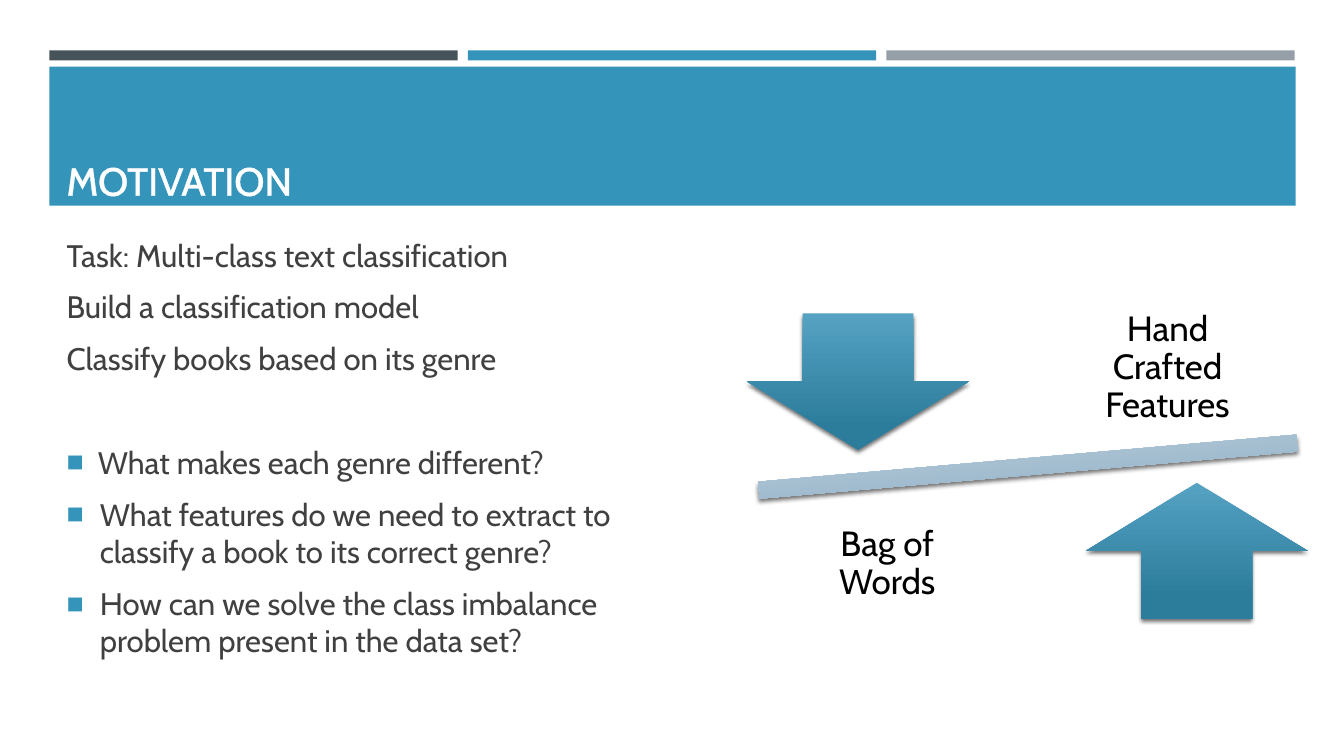
from dataclasses import dataclass

import pptx
import pptx.dml.color
import pptx.enum.shapes
import pptx.enum.text
import pptx.oxml
import pptx.oxml.ns
import pptx.util
from lxml import etree

RGBColor = pptx.dml.color.RGBColor
Shape = pptx.enum.shapes.MSO_SHAPE
Align = pptx.enum.text.PP_ALIGN
Anchor = pptx.enum.text.MSO_ANCHOR
Pt = pptx.util.Pt
qn = pptx.oxml.ns.qn

EMU_PER_PX = 9144  # 100 px to the inch
FONT = "Cabin"
WHITE = RGBColor(0xFF, 0xFF, 0xFF)
BLACK = RGBColor(0x00, 0x00, 0x00)
TEXT_GREY = RGBColor(0x40, 0x40, 0x40)
SLATE = RGBColor(0x46, 0x53, 0x59)
BLUE = RGBColor(0x34, 0x94, 0xBA)
SILVER = RGBColor(0x96, 0x9F, 0xA7)
ARROW_TOP = RGBColor(0x55, 0xA2, 0xC3)
ARROW_BOTTOM = RGBColor(0x2C, 0x7C, 0x9C)
BEAM_TOP = RGBColor(0xCB, 0xDC, 0xE7)
BEAM_BOTTOM = RGBColor(0x89, 0xAA, 0xC0)


@dataclass(frozen=True)
class Box:
    left: int
    top: int
    width: int
    height: int

    def emu(self) -> list[int]:
        return [px(v) for v in (self.left, self.top, self.width, self.height)]


@dataclass(frozen=True)
class BalancePart:
    preset: Shape
    box: Box
    top_color: RGBColor
    bottom_color: RGBColor
    rotation: int = 0


@dataclass(frozen=True)
class Label:
    text: str
    box: Box


@dataclass(frozen=True)
class Line:
    """A body paragraph; a hang above zero gives it a bullet."""
    text: str
    hang: int = 0
    before: float = 4.4


BAR_COLORS = [SLATE, BLUE, SILVER]
BAR_LEFT, BAR_WIDTH, BAR_PITCH = 49, 405, 415
BAND = Box(49, 66, 1236, 138)
TITLE = Box(56, 77, 390, 130)
BODY = Box(56, 228, 579, 432)

LINES = [
    Line("Task: Multi-class text classification"),
    Line("Build a classification model"),
    Line("Classify books based on its genre"),
    Line("What makes each genre different?", 31, 41.5),
    Line("What features do we need to extract to classify a book to its correct genre?", 33),
    Line("How can we solve the class imbalance problem present in the data set?", 33),
]
PARTS = [
    BalancePart(Shape.MATH_MINUS, Box(655, 427, 729, 72), BEAM_TOP, BEAM_BOTTOM, 355),
    BalancePart(Shape.DOWN_ARROW, Box(741, 311, 220, 135), ARROW_TOP, ARROW_BOTTOM),
    BalancePart(Shape.UP_ARROW, Box(1077, 479, 220, 135), ARROW_TOP, ARROW_BOTTOM),
]
LABELS = [
    Label("Hand Crafted Features", Box(1041, 294, 234, 142)),
    Label("Bag of Words", Box(763, 489, 234, 142)),
]


def px(n: int) -> int:
    return n * EMU_PER_PX


def add_xml(parent, tag: str, **attrs: str):
    return etree.SubElement(parent, qn(tag), attrs)


def place(shape, box: Box) -> None:
    shape.left, shape.top, shape.width, shape.height = box.emu()


def style(p, size: float, color: RGBColor, align: Align) -> None:
    p.alignment = align
    p.font.name = FONT
    p.font.size = Pt(size)
    p.font.color.rgb = color


def add_plain(s, preset: Shape, box: Box):
    """Add a shape without line or shadow."""
    sp = s.shapes.add_shape(preset, *box.emu())
    sp.shadow.inherit = False
    sp.line.fill.background()
    return sp


def add_bar(s, box: Box, color: RGBColor) -> None:
    sp = add_plain(s, Shape.RECTANGLE, box)
    sp.fill.solid()
    sp.fill.fore_color.rgb = color


def add_balance_part(s, part: BalancePart) -> None:
    sp = add_plain(s, part.preset, part.box)
    sp.rotation = part.rotation
    sp.fill.gradient()
    sp.fill.gradient_angle = 270
    stops = zip(sp.fill.gradient_stops, (0, 0.84), (part.top_color, part.bottom_color))
    for stop, position, color in stops:
        stop.position = position
        stop.color.rgb = color
    effects = sp._element.spPr.find(qn("a:effectLst"))
    shadow = add_xml(effects, "a:outerShdw", blurRad=str(Pt(3)), dist=str(Pt(2)),
                     dir="5400000", algn="ctr", rotWithShape="0")
    add_xml(add_xml(shadow, "a:srgbClr", val=str(BLACK)), "a:alpha", val="55000")


def add_label(s, label: Label) -> None:
    tf = s.shapes.add_textbox(*label.box.emu()).text_frame
    tf.word_wrap = True
    tf.vertical_anchor = Anchor.MIDDLE
    tf.margin_left = tf.margin_right = tf.margin_top = tf.margin_bottom = px(19)
    p = tf.paragraphs[0]
    p.text = label.text
    p.line_spacing = 0.9
    style(p, 25, BLACK, Align.CENTER)


def fill_title(title) -> None:
    place(title, TITLE)
    tf = title.text_frame
    tf.auto_size = pptx.enum.text.MSO_AUTO_SIZE.NONE
    tf.vertical_anchor = Anchor.BOTTOM
    p = tf.paragraphs[0]
    r = p.add_run()
    r.text = "MOTIVATION"
    style(p, 28, WHITE, Align.LEFT)
    outline = add_xml(r._r.get_or_add_rPr(), "a:ln", w=str(Pt(0.75)))
    add_xml(add_xml(outline, "a:solidFill"), "a:srgbClr", val=str(WHITE))


def set_bullet(p, hang: int) -> None:
    pPr = p._p.get_or_add_pPr()
    pPr.set("marL", str(px(hang)))
    pPr.set("indent", str(px(-hang)))
    if hang:
        add_xml(add_xml(pPr, "a:buClr"), "a:srgbClr", val=str(BLUE))
        add_xml(pPr, "a:buSzPct", val="92000")
        add_xml(pPr, "a:buChar", char="■")
    else:
        add_xml(pPr, "a:buNone")


def fill_body(body) -> None:
    place(body, BODY)
    tf = body.text_frame
    tf.auto_size = pptx.enum.text.MSO_AUTO_SIZE.NONE
    tf.vertical_anchor = Anchor.MIDDLE
    for i, line in enumerate(LINES):
        p = tf.add_paragraph() if i else tf.paragraphs[0]
        p.text = line.text
        set_bullet(p, line.hang)
        p.space_before = Pt(line.before)
        p.space_after = Pt(6)
        style(p, 22.2, TEXT_GREY, Align.LEFT)


def main() -> None:
    prs = pptx.Presentation()
    prs.slide_width, prs.slide_height = px(1333), px(750)
    s = prs.slides.add_slide(prs.slide_layouts[1])
    title, body = s.placeholders
    for i, color in enumerate(BAR_COLORS):
        add_bar(s, Box(BAR_LEFT + i * BAR_PITCH, 50, BAR_WIDTH, 10), color)
    add_bar(s, BAND, BLUE)
    for sp in (title, body):  # bring the text in front of the band
        s.shapes._spTree.append(sp._element)
    fill_title(title)
    fill_body(body)
    for part in PARTS:
        add_balance_part(s, part)
    for label in LABELS:
        add_label(s, label)
    prs.save("out.pptx")


if __name__ == "__main__":
    main()
